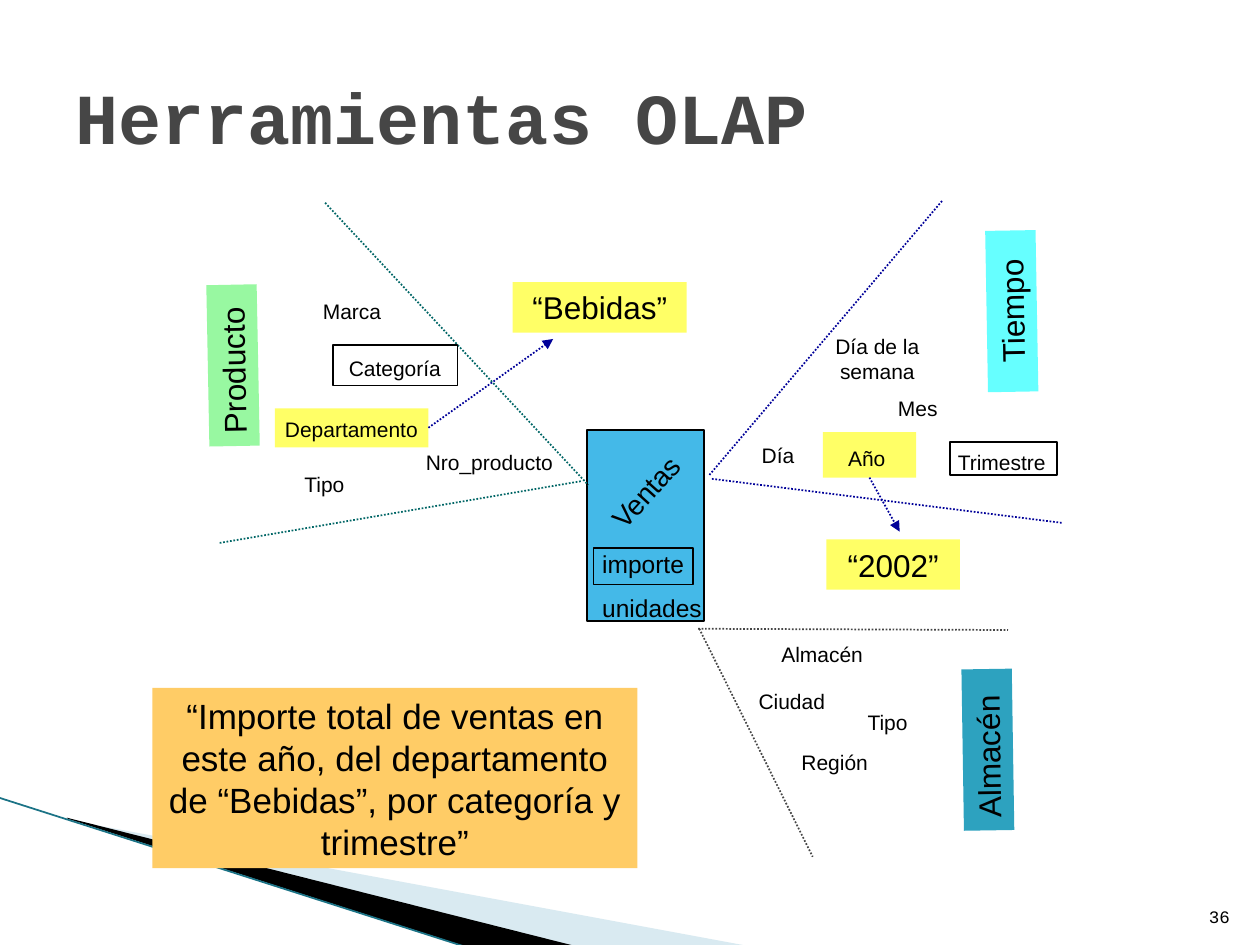
from lxml.etree import SubElement as Sub
from pptx import Presentation
from pptx.dml.color import RGBColor as Rgb
from pptx.enum.dml import MSO_LINE as Dash
from pptx.enum.shapes import MSO_CONNECTOR as Conn, MSO_SHAPE as Kind
from pptx.enum.text import MSO_ANCHOR as Anchor, MSO_AUTO_SIZE as Fit, PP_ALIGN as Align
from pptx.oxml.ns import qn
from pptx.util import Pt

HUE = {
    "black": "000000", "title": "464646", "yellow": "FFFF66", "mint": "98F8A1",
    "cyan": "66FFFF", "teal": "2DA2BF", "blue": "44B9E8", "orange": "FFCC66",
    "navy": "000099", "green": "006666", "pale": "A0CBDC", "edge": "1B7386",
}
TITLE = "Herramientas OLAP"
QUERY = ("“Importe total de ventas en este año, del departamento "
         "de “Bebidas”, por categoría y trimestre”")
WEDGES = [
    ("pale", 40, [(39.6, 468.7), (428.4, 540.7), (328.3, 540.7), (39.6, 468)]),
    ("black", 100, [(38.2, 467.3), (329, 540.7), (267.8, 541.4), (38.9, 468)]),
]
MARKS = {
    "2002": ("“2002”", (472.3, 308.2, 76.3, 28.8)),
    "year": ("", (470.2, 247, 53.3, 25.9)),
    "dept": ("", (157, 233.3, 87.8, 22.3)),
    "drink": ("“Bebidas”", (293, 161.3, 99.4, 28.8)),
}
ARROWS = [("year", 2, (514.1, 303.8)), ("dept", 3, (316.1, 193.7))]
SIDES = [
    ("Producto", 87.1, 194.4, 268.9, "mint", Align.LEFT),
    ("Tiempo", 532.1, 163.4, 269, "cyan", Align.CENTER),
    ("Almacén", 518.4, 414, 269.1, "teal", Align.LEFT),
]
LABELS = [
    ("Departamento", 155.5, 234.7, 90.7),
    ("Nro_producto", 229.7, 253.4, 100),
    ("Categoría", 175.7, 199.4, 100),
    ("Marca", 151.2, 167, 100),
    ("Tipo", 135.4, 265.7, 100),
    ("Día", 394.6, 249.1, 100),
    ("Mes", 474.5, 222.5, 100),
    ("Día de la semana", 451.4, 187.2, 100),
    ("Almacén", 419.8, 362.9, 100),
    ("Ciudad", 414, 390.2, 77),
    ("Región", 427, 424.8, 100),
    ("Tipo", 457.2, 401.8, 100),
    ("Año", 473, 251.3, 44.6),
    ("Trimestre", 538.6, 253.4, 67.7),
]
RAYS = [
    ("green", (185.8, 115.9), (336.2, 277.2)),
    ("green", (331.9, 275), (125.3, 310.3)),
    ("navy", (405.4, 271.4), (538.6, 114.5)),
    ("navy", (406.8, 273.6), (607, 298.8)),
    ("title", (399.6, 359.3), (464.4, 489.6)),
    ("title", (398.9, 359.3), (576, 360)),
]
FRAMES = [
    (190.1, 197.3, 71.3, 23),
    (542.9, 252.7, 61.2, 18.7),
    (339.1, 313.2, 56.9, 20.9),
]


def rgb(name):
    return Rgb.from_string(HUE[name])


def pts(vals):
    return [Pt(v) for v in vals]


def write(shape, text, size=12, font="Arial", hue="black", bold=False,
          align=Align.CENTER, anchor=Anchor.TOP):
    frame = shape.text_frame
    frame.word_wrap = True
    frame.auto_size = Fit.NONE
    frame.vertical_anchor = anchor
    frame.text = text
    for num, para in enumerate(frame.paragraphs):
        para.alignment = align
        if num:
            para.space_before = Pt(size * 0.57)
        for run in para.runs:
            run.font.name = font
            run.font.size = Pt(size)
            run.font.bold = bold
            run.font.color.rgb = rgb(hue)


def label(shapes, text, spot, turn=0, **fmt):
    box = shapes.add_textbox(*pts(spot))
    box.rotation = turn
    write(box, text, **fmt)


def paint(shape, fill=None, line=None):
    shape.shadow.inherit = False
    if fill:
        shape.fill.solid()
        shape.fill.fore_color.rgb = rgb(fill)
    else:
        shape.fill.background()
    if line:
        shape.line.color.rgb = rgb(line)
        shape.line.width = Pt(1)
    else:
        shape.line.fill.background()


def block(shapes, spot, fill=None, line=None):
    box = shapes.add_shape(Kind.RECTANGLE, *pts(spot))
    paint(box, fill, line)
    return box


def wedge(shapes, hue, alpha, dots):
    first, *rest = [pts(dot) for dot in dots]
    pen = shapes.build_freeform(*first)
    pen.add_line_segments(rest, close=True)
    shape = pen.convert_to_shape()
    paint(shape, hue)
    if alpha < 100:
        tone = next(shape.element.iter(qn("a:srgbClr")))
        Sub(tone, qn("a:alpha"), val=str(alpha * 1000))


def rule(shapes, start, end, hue, dash=Dash.ROUND_DOT, head=False):
    line = shapes.add_connector(Conn.STRAIGHT, *pts(start + end))
    line.line.color.rgb = rgb(hue)
    line.line.width = Pt(1)
    line.line.dash_style = dash
    if head:
        Sub(line.line._get_or_add_ln(), qn("a:tailEnd"), type="triangle")
    Sub(line.element.spPr, qn("a:effectLst"))
    return line


def main():
    deck = Presentation()
    deck.slide_width, deck.slide_height = Pt(720), Pt(540)
    slide = deck.slides.add_slide(deck.slide_layouts[5])
    shapes = slide.shapes

    for hue, alpha, dots in WEDGES:
        wedge(shapes, hue, alpha, dots)
    rule(shapes, (-0.7, 455.8), (267.1, 541.4), "edge", Dash.SOLID)
    label(shapes, "36", (681.1, 504.7, 28.8, 28.8), size=10,
          font="Courier New", align=Align.RIGHT, anchor=Anchor.BOTTOM)

    head = shapes.title
    head.left, head.top, head.width, head.height = pts((36, 20.9, 684, 90))
    write(head, TITLE, size=41, font="Courier New", hue="title", bold=True,
          align=Align.LEFT, anchor=Anchor.MIDDLE)

    marks = {}
    for key, (text, spot) in MARKS.items():
        marks[key] = block(shapes, spot, "yellow")
        if text:
            write(marks[key], text, size=18)
    for key, side, end in ARROWS:
        line = rule(shapes, (0, 0), end, "navy", head=True)
        line.begin_connect(marks[key], side)

    for text, left, top, turn, hue, align in SIDES:
        box = block(shapes, (left, top, 92.2, 28.8), hue)
        box.rotation = turn
        write(box, text, size=18, align=align)

    block(shapes, (335.5, 245.5, 67, 109.4), "blue", "black")
    label(shapes, "Ventas", (332.6, 257, 92.2, 26.6), 312.1,
          size=16, align=Align.LEFT)
    label(shapes, "importe\nunidades", (337, 310.3, 78.5, 49),
          size=14, align=Align.LEFT)

    for hue, start, end in RAYS:
        rule(shapes, start, end, hue)
    for text, left, top, width in LABELS:
        tall = 36 if " " in text else 21.6
        label(shapes, text, (left, top, width, tall))

    write(block(shapes, (87.1, 393.1, 277.2, 103), "orange"), QUERY, size=20)
    for spot in FRAMES:
        block(shapes, spot, line="black")
    deck.save("out.pptx")


if __name__ == "__main__":
    main()
